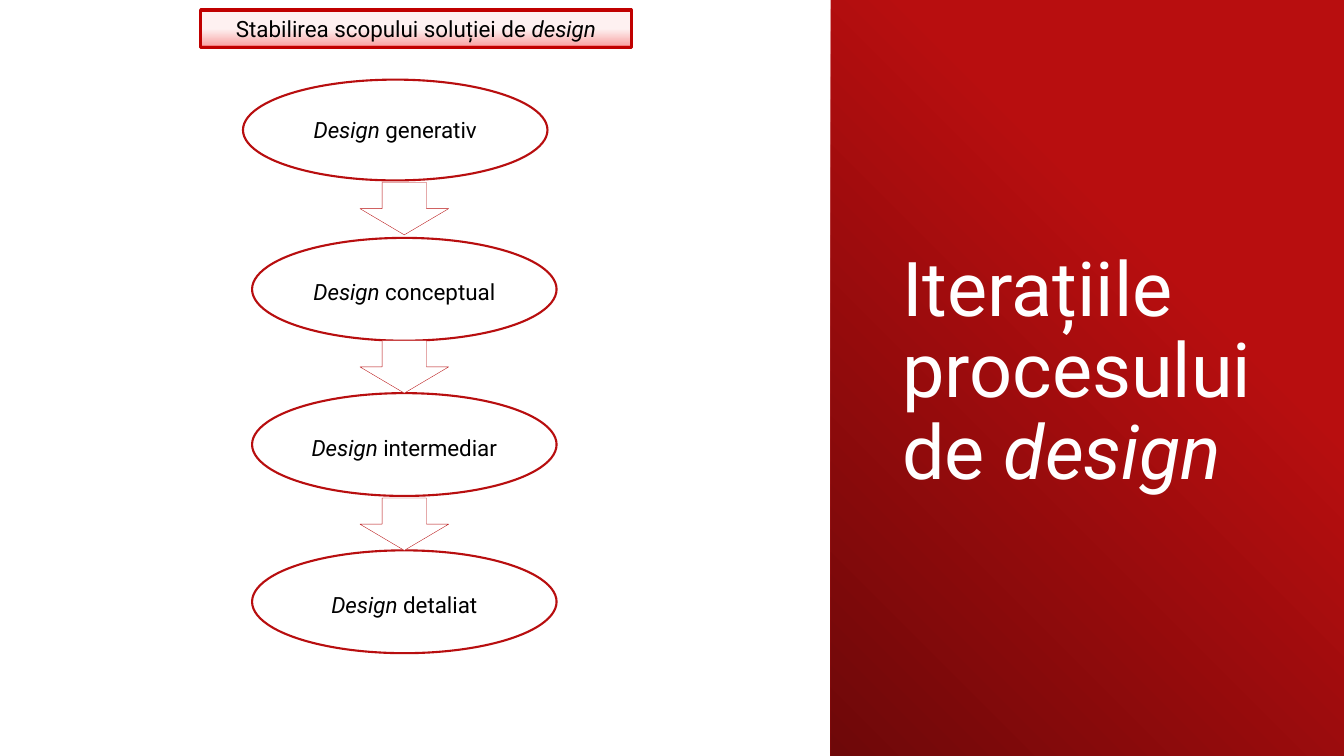
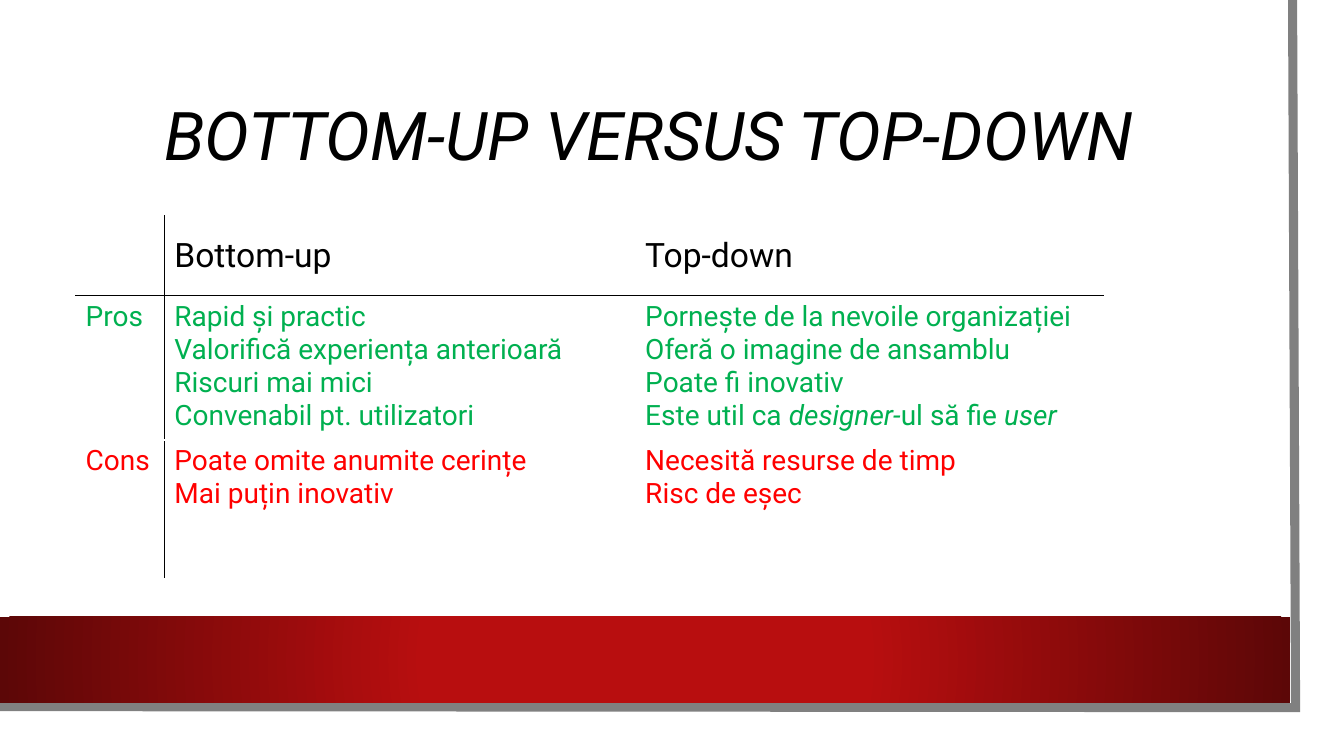
from lxml.etree import SubElement
from pptx import Presentation
from pptx.dml.color import RGBColor
from pptx.enum.shapes import MSO_SHAPE as Shape
from pptx.enum.text import MSO_ANCHOR as Anchor, PP_ALIGN as Align
from pptx.oxml import parse_xml
from pptx.oxml.ns import nsdecls, qn
from pptx.util import Pt

EMU_PER_PX = 9144  # 100 px to the inch
WIDTH, HEIGHT = 1333, 750
FONT = "Roboto"
COLORS = {
    "white": "FFFFFF", "black": "000000", "gray": "808080",
    "red": "B80E0F", "deep_red": "6E0809", "dark_red": "5C0707",
    "border_red": "C00000", "blush": "FEF1F1", "pink": "F8A8A8", "rose": "F57D7D",
    "pros": "00B050", "cons": "FF0000",
}


def px(*lengths):
    return [round(length * EMU_PER_PX) for length in lengths]


def rgb(name):
    return RGBColor.from_string(COLORS[name])


class Deck:
    def __init__(self):
        self.prs = Presentation()
        self.prs.slide_width, self.prs.slide_height = px(WIDTH, HEIGHT)
        self.slide = None

    def new_slide(self):
        self.slide = self.prs.slides.add_slide(self.prs.slide_layouts[6])
        self.slide.background.fill.solid()
        self.slide.background.fill.fore_color.rgb = rgb("white")

    def add_text(self, frame, lines, size, color="black", align=Align.LEFT, spacing=None):
        """Fill a text frame; words between asterisks are italic."""
        frame.word_wrap = True
        for index, line in enumerate(lines):
            paragraph = frame.add_paragraph() if index else frame.paragraphs[0]
            paragraph.alignment = align
            if spacing:
                paragraph.line_spacing = spacing
            for part, words in enumerate(line.split("*")):
                if words:
                    run = paragraph.add_run()
                    run.text = words
                    run.font.name, run.font.size = FONT, Pt(size)
                    run.font.italic = part % 2 == 1
                    run.font.color.rgb = rgb(color)

    def title(self, box, text, size, color="black", align=Align.LEFT):
        frame = self.slide.shapes.add_textbox(*px(*box)).text_frame
        frame.vertical_anchor = Anchor.MIDDLE
        self.add_text(frame, [text], size, color, align, 0.9)

    def shape(self, kind, box, line=None, weight=1.5, text=None, spacing=None):
        shape = self.slide.shapes.add_shape(kind, *px(*box))
        shape.shadow.inherit = False
        shape.fill.solid()
        shape.fill.fore_color.rgb = rgb("white")
        if line:
            shape.line.color.rgb = rgb(line)
            shape.line.width = Pt(weight)
        else:
            shape.line.fill.background()
        if text:
            shape.text_frame.vertical_anchor = Anchor.MIDDLE
            self.add_text(shape.text_frame, [text], 16, align=Align.CENTER, spacing=spacing)
        return shape

    def gradient(self, shape, stops, angle=None):
        """Blend the stops along an angle, or out from the centre without one."""
        stop_xml = "".join(
            f'<a:gs pos="{at * 1000}"><a:srgbClr val="{COLORS[name]}"/></a:gs>'
            for at, name in stops)
        if angle is None:
            course = ('<a:path path="circle"><a:fillToRect l="50000" t="50000" '
                      'r="50000" b="50000"/></a:path>')
        else:
            course = f'<a:lin ang="{angle * 60000}" scaled="0"/>'
        properties = shape._element.spPr
        properties.replace(properties.find(qn("a:solidFill")), parse_xml(
            f'<a:gradFill {nsdecls("a")} rotWithShape="1">'
            f'<a:gsLst>{stop_xml}</a:gsLst>{course}</a:gradFill>'))

    def page_frame(self):
        """Gray page edge and the red band at the foot."""
        builder = self.slide.shapes.build_freeform(1282, 0, scale=EMU_PER_PX)
        builder.add_line_segments([(1285, 702), (0, 701)], close=False)
        edge = builder.convert_to_shape()
        edge.shadow.inherit = False
        edge.fill.background()
        edge.line.color.rgb = rgb("gray")
        edge.line.width = Pt(6.5)
        SubElement(edge._element.spPr.find(qn("a:ln")), qn("a:miter"), lim="800000")
        band = self.shape(Shape.RECTANGLE, (0, 612, 1280, 85))
        self.gradient(band, [(34, "red"), (100, "dark_red")])

    def cell_borders(self, cell, sides):
        properties = cell._tc.get_or_add_tcPr()
        for index, side in enumerate(side for side in "LRTB" if side in sides):
            properties.insert(index, parse_xml(
                f'<a:ln{side} {nsdecls("a")} w="12700"><a:solidFill>'
                f'<a:srgbClr val="{COLORS["black"]}"/></a:solidFill></a:ln{side}>'))

    def table(self, left, top, widths, heights, rows):
        """Rows are (size, color, cells); rules follow the first row and column."""
        table = self.slide.shapes.add_table(
            len(heights), len(widths), *px(left, top, sum(widths), sum(heights))).table
        table.first_row = table.horz_banding = False
        for column, width in zip(table.columns, px(*widths)):
            column.width = width
        for row, height in zip(table.rows, px(*heights)):
            row.height = height
        for r, (size, color, cells) in enumerate(rows):
            for c, lines in enumerate(cells):
                cell = table.cell(r, c)
                cell.fill.background()
                cell.vertical_anchor = Anchor.TOP if r else Anchor.MIDDLE
                self.add_text(cell.text_frame, lines, size, color)
                self.cell_borders(cell, {0: "R", 1: "L"}.get(c, "") + {0: "B", 1: "T"}.get(r, ""))


def iterations_slide(deck):
    deck.new_slide()
    panel = deck.shape(Shape.RECTANGLE, (824, 0, 509, HEIGHT))
    deck.gradient(panel, [(34, "red"), (100, "deep_red")], 135)
    deck.title((885, 75, 371, 591), "Iterațiile procesului de *design*", 54, "white")

    stages = [
        ("generativ", 241, 79, 100, 1.0),
        ("conceptual", 250, 236, 102, 1.2),
        ("intermediar", 250, 390, 102, 1.2),
        ("detaliat", 250, 546, 102, 1.2),
    ]
    for stage, left, top, height, spacing in stages:
        deck.shape(Shape.OVAL, (left, top, 302, height), "red",
                   text=f"*Design *{stage}", spacing=spacing)
    for top in (181, 338, 494):
        deck.shape(Shape.DOWN_ARROW, (357, top, 88, 52), "red", 0.25)

    goal = deck.shape(Shape.RECTANGLE, (199, 10, 427, 37), "border_red", 2.25,
                      "Stabilirea scopului soluției de *design*")
    deck.gradient(goal, [(50, "blush"), (94, "pink"), (95, "rose"), (100, "rose")], 90)


def comparison_slide(deck):
    deck.new_slide()
    deck.page_frame()
    deck.title((75, 75, 1137, 126), "*BOTTOM-UP VERSUS TOP-DOWN*", 48, align=Align.CENTER)
    deck.table(75, 214, (88, 467, 464), (79, 138, 138), [
        (24, "black", [[], ["Bottom-up"], ["Top-down"]]),
        (20, "pros", [
            ["Pros"],
            ["Rapid și practic", "Valorifică experiența anterioară",
             "Riscuri mai mici", "Convenabil pt. utilizatori"],
            ["Pornește de la nevoile organizației", "Oferă o imagine de ansamblu",
             "Poate fi inovativ", "Este util ca *designer-*ul să fie *user*"],
        ]),
        (20, "cons", [
            ["Cons"],
            ["Poate omite anumite cerințe", "Mai puțin inovativ"],
            ["Necesită resurse de timp", "Risc de eșec"],
        ]),
    ])


def main():
    deck = Deck()
    iterations_slide(deck)
    comparison_slide(deck)
    deck.prs.save("out.pptx")


if __name__ == "__main__":
    main()
